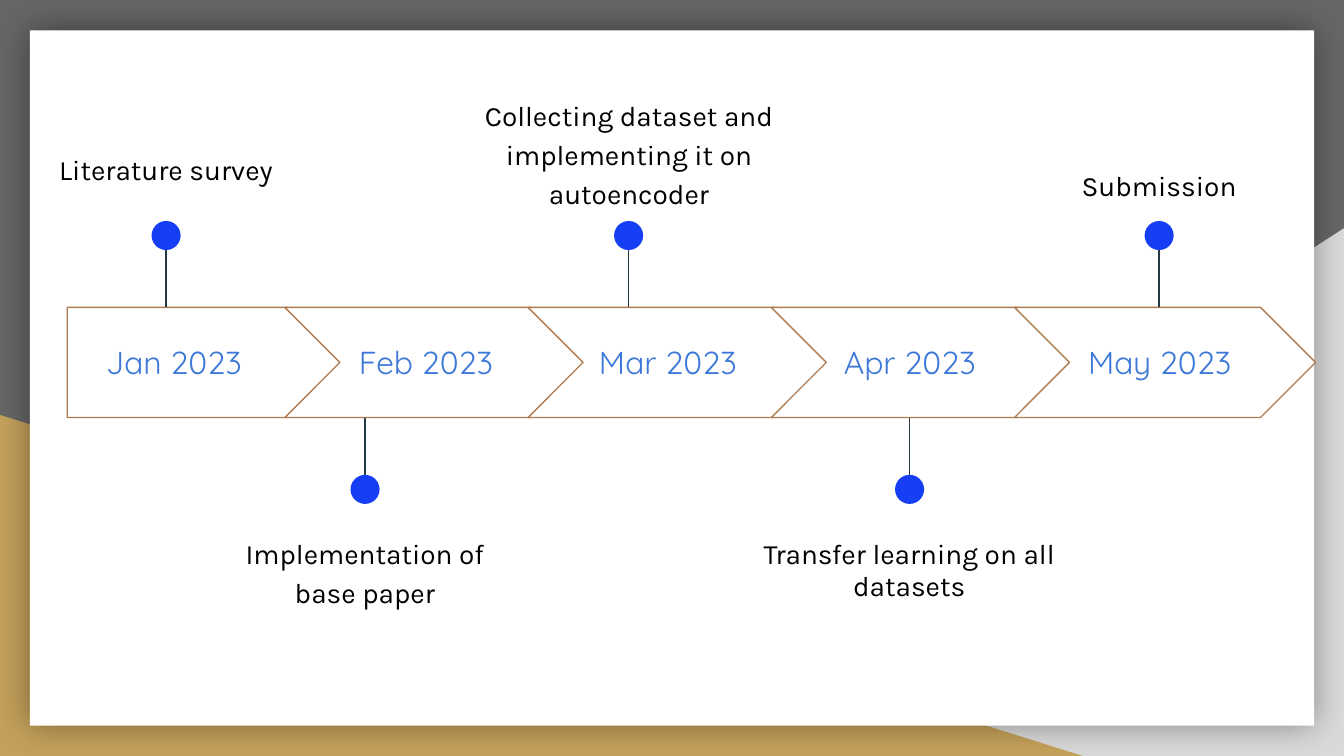
from lxml import etree
from pptx import Presentation
from pptx.dml.color import RGBColor
from pptx.enum.shapes import MSO_CONNECTOR as Connector, MSO_SHAPE as Shape
from pptx.enum.text import MSO_ANCHOR as Anchor, PP_ALIGN as Align
from pptx.oxml import parse_xml
from pptx.oxml.ns import nsdecls, qn
from pptx.util import Pt

COLORS = {
    "background": "666666", "gray": "D9D9D9", "gold": "C4A15A", "white": "FFFFFF",
    "outline": "AF7B51", "date": "3C78D8", "pin": "163EF5", "stem": "233A44",
    "text": "000000",
}
BAND_TOP, BAND_HEIGHT = 164.7, 59
FIRST_CHEVRON, CHEVRON_STEP, CHEVRON_WIDTH = 152.6, 130.3, 161.3
DOT, STEM = 15.6, 43

# month, (date left, width), pin x, pin above the band, label, label box, line spacing
MILESTONES = [
    ("Jan 2023", (36, 114.5), 89, True, "Literature survey",
     (15.1, 59.8, 147.6, 59), 1.15),
    ("Feb 2023", (176.4, 103.7), 195.6, False, "Implementation of base paper",
     (107.3, 270, 176.4, 71.3), 1.15),
    ("Mar 2023", (306, 103.7), 336.8, True,
     "Collecting dataset and implementing it on autoencoder",
     (232.6, 43.9, 208.8, 74.9), 1.15),
    ("Apr 2023", (435.6, 103.7), 487.3, False, "Transfer learning on all datasets",
     (398.9, 270, 176.4, 71.3), 0.95),
    ("May 2023", (569.5, 103.7), 621, True, "Submission",
     (545, 77.8, 151.9, 40.3), 1.15),
]


def color(name):
    return RGBColor.from_string(COLORS[name])


def format_text(paragraph, text, font, size, ink, line_spacing=1, space_after=0):
    run = paragraph.add_run()
    run.text = text
    run.font.name = font
    run.font.size = Pt(size)
    run.font.color.rgb = color(ink)
    paragraph.alignment = Align.CENTER
    paragraph.line_spacing = line_spacing
    paragraph.space_after = Pt(space_after)


class Timeline:
    """Holds the style and the slide being drawn."""

    def __init__(self, slide):
        self.slide = slide
        self.date_style = {"font": "Quicksand", "size": 17, "ink": "date"}
        self.label_style = {"font": "Karla", "size": 15, "ink": "text", "space_after": 12}

    def shape(self, kind, box, fill, line=None, flip=False):
        shape = self.slide.shapes.add_shape(kind, *map(Pt, box))
        shape.shadow.inherit = False
        shape.fill.solid()
        shape.fill.fore_color.rgb = color(fill)
        if line:
            shape.line.color.rgb = color(line)
            shape.line.width = Pt(0.75)
        else:
            shape.line.fill.background()
        if flip:
            shape._element.spPr.find(qn("a:xfrm")).set("flipH", "1")
        return shape

    def card(self, box):
        """White panel with a soft shadow on all sides."""
        shape = self.shape(Shape.RECTANGLE, box, "white")
        effects = shape._element.spPr.find(qn("a:effectLst"))
        effects.append(parse_xml(
            f'<a:outerShdw {nsdecls("a")} blurRad="{Pt(18)}" dist="0" algn="ctr" '
            'rotWithShape="0"><a:srgbClr val="000000"><a:alpha val="40000"/>'
            '</a:srgbClr></a:outerShdw>'))

    def text(self, text, box, **style):
        frame = self.slide.shapes.add_textbox(*map(Pt, box)).text_frame
        frame.word_wrap = True
        frame.vertical_anchor = Anchor.MIDDLE
        frame.margin_left = frame.margin_right = Pt(7.2)
        frame.margin_top = frame.margin_bottom = Pt(7.2)
        format_text(frame.paragraphs[0], text, **style)

    def pin(self, x, above):
        """Stem from the edge of the band, with a dot near its far end."""
        edge = BAND_TOP if above else BAND_TOP + BAND_HEIGHT
        direction = -1 if above else 1
        stem = self.slide.shapes.add_connector(
            Connector.STRAIGHT, Pt(x), Pt(edge + direction * STEM), Pt(x), Pt(edge))
        stem.line.color.rgb = color("stem")
        stem.line.width = Pt(0.75)
        etree.SubElement(stem._element.spPr, qn("a:effectLst"))
        center = edge + direction * 38.5
        self.shape(Shape.OVAL, (x - DOT / 2, center - DOT / 2, DOT, DOT), "pin")

    def arrow(self, index):
        if index == 0:
            kind, left, width = Shape.PENTAGON, 36, 147.6
        else:
            kind, width = Shape.CHEVRON, CHEVRON_WIDTH
            left = FIRST_CHEVRON + (index - 1) * CHEVRON_STEP
        self.shape(kind, (left, BAND_TOP, width, BAND_HEIGHT), "white", "outline")


def main():
    presentation = Presentation()
    presentation.slide_width, presentation.slide_height = Pt(720), Pt(405)
    slide = presentation.slides.add_slide(presentation.slide_layouts[6])
    slide.background.fill.solid()
    slide.background.fill.fore_color.rgb = color("background")

    timeline = Timeline(slide)
    timeline.shape(Shape.RIGHT_TRIANGLE, (282, 122.3, 438, 282.7), "gray", flip=True)
    timeline.shape(Shape.RIGHT_TRIANGLE, (0, 222.3, 580, 182.7), "gold")
    timeline.card((16, 16.2, 688, 372.6))

    for index, milestone in enumerate(MILESTONES):
        month, (left, width), pin_x, above, label, label_box, spacing = milestone
        timeline.arrow(index)
        timeline.text(month, (left, 175.7, width, 36.7), **timeline.date_style)
        timeline.pin(pin_x, above)
        timeline.text(label, label_box, line_spacing=spacing, **timeline.label_style)

    presentation.save("out.pptx")


if __name__ == "__main__":
    main()
